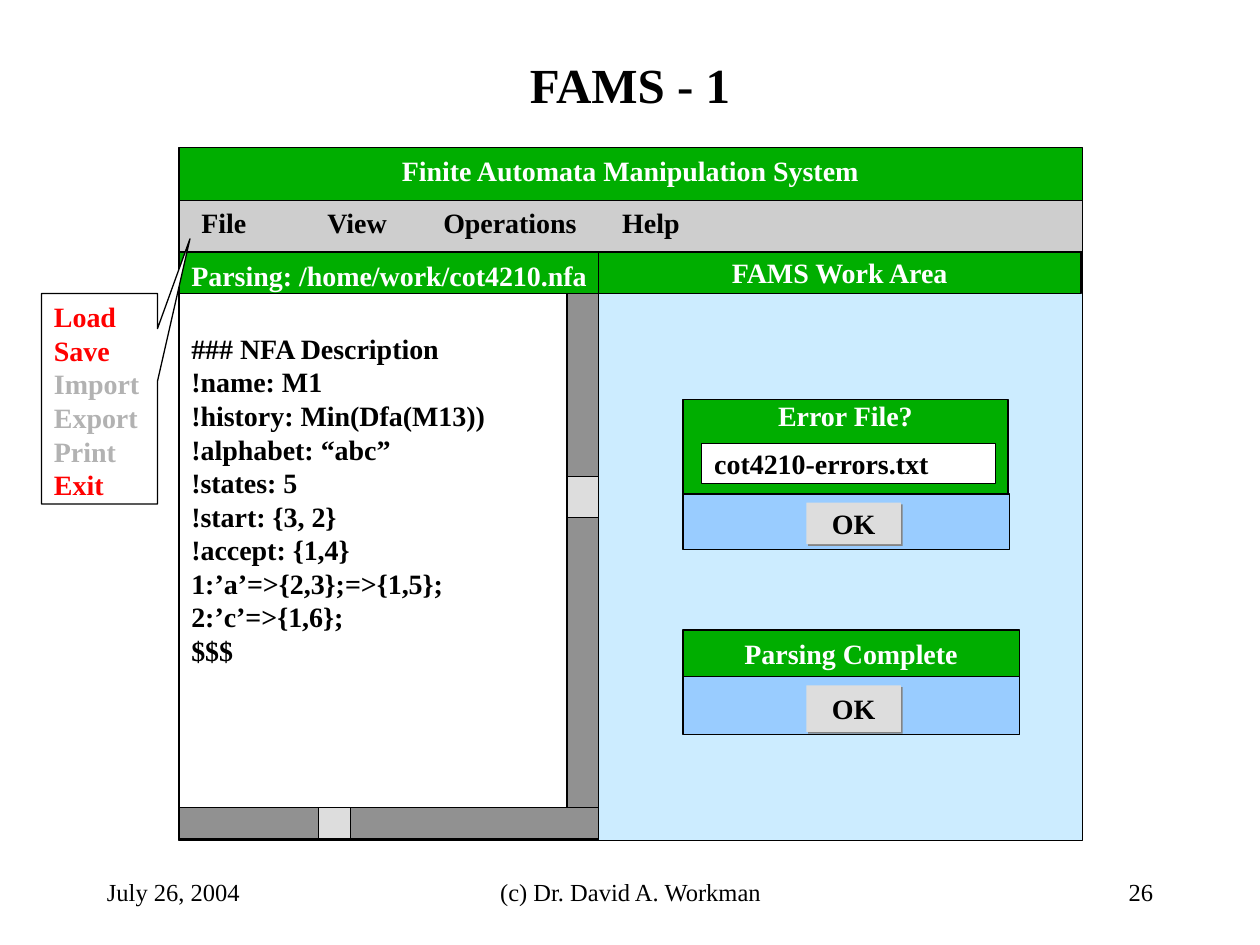
from lxml.etree import SubElement
from pptx import Presentation
from pptx.dml.color import RGBColor
from pptx.enum.shapes import MSO_SHAPE
from pptx.enum.text import MSO_ANCHOR, PP_ALIGN
from pptx.oxml.ns import qn
from pptx.util import Inches, Pt

FONT = "Times New Roman"
BLACK, WHITE, GREEN = "000000", "FFFFFF", "00AE00"
RED, DIMMED = "FF0000", "B2B2B2"
SKY, BLUE = "CCECFF", "99CCFF"
TRACK, THUMB, MENU_BAR, SHADE = "919191", "DDDDDD", "CECECE", "848484"
LEFT, CENTER, RIGHT = PP_ALIGN.LEFT, PP_ALIGN.CENTER, PP_ALIGN.RIGHT
TOP, MIDDLE = MSO_ANCHOR.TOP, MSO_ANCHOR.MIDDLE

DESCRIPTION = [
    "### NFA Description",
    "!name: M1",
    "!history: Min(Dfa(M13))",
    "!alphabet: “abc”",
    "!states: 5",
    "!start: {3, 2}",
    "!accept: {1,4}",
    "1:’a’=>{2,3};=>{1,5};",
    "2:’c’=>{1,6};",
    "$$$",
]
FILE_MENU = {"Load": RED, "Save": RED, "Import": DIMMED,
             "Export": DIMMED, "Print": DIMMED, "Exit": RED}
MENUS = [("File", 1.5, 0.6), ("View", 2.5, 0.72),
         ("Operations", 3.42, 1.3), ("Help", 4.84, 0.7)]
FOOTERS = [("July 26, 2004", 0.75, 2.08, LEFT),
           ("(c) Dr. David A. Workman", 3.42, 3.17, CENTER),
           ("26", 7.17, 2.08, RIGHT)]


def rgb(value):
    return RGBColor.from_string(value)


def write(sp, lines, colors, size=16, bold=True, align=LEFT, anchor=MIDDLE,
          wrap=False, inset=0.05):
    tf = sp.text_frame
    tf.text = "\n".join(lines)
    tf.word_wrap = wrap
    tf.vertical_anchor = anchor
    tf.margin_top = Inches(inset)
    for p, color in zip(tf.paragraphs, colors):
        p.alignment = align
        p.line_spacing = Pt(size * 1.2)
        for r in p.runs:
            r.font.name = FONT
            r.font.size = Pt(size)
            r.font.bold = bold
            r.font.color.rgb = rgb(color)


def add_box(shapes, x, y, w, h, fill, line=BLACK, shape=MSO_SHAPE.RECTANGLE):
    sp = shapes.add_shape(shape, Inches(x), Inches(y), Inches(w), Inches(h))
    sp.shadow.inherit = False
    sp.fill.solid()
    sp.fill.fore_color.rgb = rgb(fill)
    if line:
        sp.line.color.rgb = rgb(line)
        sp.line.width = Pt(0.75)
    else:
        sp.line.fill.background()
    return sp


def add_label(shapes, text, x, y, w, h, color=BLACK, **style):
    sp = shapes.add_textbox(Inches(x), Inches(y), Inches(w), Inches(h))
    write(sp, [text], [color], **style)


def add_bar(shapes, text, x, y, w, h):
    sp = add_box(shapes, x, y, w, h, GREEN)
    write(sp, [text], [WHITE], align=CENTER)


def add_ok_button(shapes, y, h):
    sp = add_box(shapes, 6.4, y, 0.75, h, THUMB, line=None)
    write(sp, ["OK"], [BLACK], align=CENTER)
    effects = sp._element.spPr.find(qn("a:effectLst"))
    shadow = SubElement(effects, qn("a:outerShdw"), dist=str(Pt(1.4)),
                        dir=str(45 * 60000), algn="ctr", rotWithShape="0")
    SubElement(shadow, qn("a:srgbClr"), val=SHADE)


def add_scrollbar(shapes, track, thumb):
    group = shapes.add_group_shape()
    add_box(group.shapes, *track, TRACK)
    add_box(group.shapes, *thumb, THUMB)


def add_editor(shapes):
    sp = add_box(shapes, 1.42, 2.33, 3.17, 4.33, WHITE)
    write(sp, DESCRIPTION, [BLACK] * len(DESCRIPTION), anchor=TOP, inset=0.3)
    add_box(shapes, 1.42, 2, 3.33, 0.33, GREEN)
    add_label(shapes, "Parsing: /home/work/cot4210.nfa", 1.42, 2, 3.38, 0.37,
              WHITE, anchor=TOP)
    add_scrollbar(shapes, (4.5, 2.33, 0.25, 4.33), (4.5, 3.78, 0.25, 0.33))
    add_scrollbar(shapes, (1.42, 6.41, 3.33, 0.25), (2.53, 6.41, 0.25, 0.25))


def add_complete_dialog(shapes):
    add_bar(shapes, "Parsing Complete", 5.42, 5, 2.67, 0.37)
    add_box(shapes, 5.42, 5.37, 2.67, 0.46, BLUE)
    add_ok_button(shapes, 5.44, 0.37)


def add_error_dialog(shapes):
    sp = add_box(shapes, 5.42, 3.17, 2.58, 0.78, GREEN)
    write(sp, ["Error File?"], [WHITE], align=CENTER, anchor=TOP, inset=-0.01)
    add_box(shapes, 5.42, 3.92, 2.59, 0.44, BLUE)
    add_ok_button(shapes, 3.99, 0.33)
    sp = add_box(shapes, 5.57, 3.52, 2.33, 0.32, WHITE)
    write(sp, ["cot4210-errors.txt"], [BLACK])


def add_file_menu(shapes):
    sp = add_box(shapes, 0.33, 2.33, 0.92, 1.67, WHITE,
                 shape=MSO_SHAPE.RECTANGULAR_CALLOUT)
    sp.adjustments[0] = 0.78
    sp.adjustments[1] = -0.76
    write(sp, FILE_MENU.keys(), FILE_MENU.values(), anchor=TOP, wrap=True)


def main():
    prs = Presentation()
    prs.slide_width = Inches(10)
    prs.slide_height = Inches(7.5)
    s = prs.slides.add_slide(prs.slide_layouts[6])
    shapes = s.shapes

    add_label(shapes, "FAMS - 1", 0.75, 0.33, 8.5, 0.67, size=28,
              align=CENTER, wrap=True)
    add_box(shapes, 1.42, 2, 7.17, 4.67, SKY)
    add_box(shapes, 1.42, 1.58, 7.17, 0.42, MENU_BAR)
    add_box(shapes, 1.42, 1.17, 7.17, 0.42, GREEN)
    add_label(shapes, "Finite Automata Manipulation System", 3.09, 1.17,
              3.88, 0.37, WHITE, anchor=TOP)
    add_editor(shapes)
    add_complete_dialog(shapes)
    add_error_dialog(shapes)
    for text, x, w in MENUS:
        add_label(shapes, text, x, 1.58, w, 0.37, anchor=TOP)
    add_file_menu(shapes)
    add_bar(shapes, "FAMS Work Area", 4.75, 2, 3.83, 0.33)
    for text, x, w, align in FOOTERS:
        add_label(shapes, text, x, 6.83, w, 0.5, size=14, bold=False,
                  align=align, wrap=True)
    prs.save("out.pptx")


if __name__ == "__main__":
    main()
